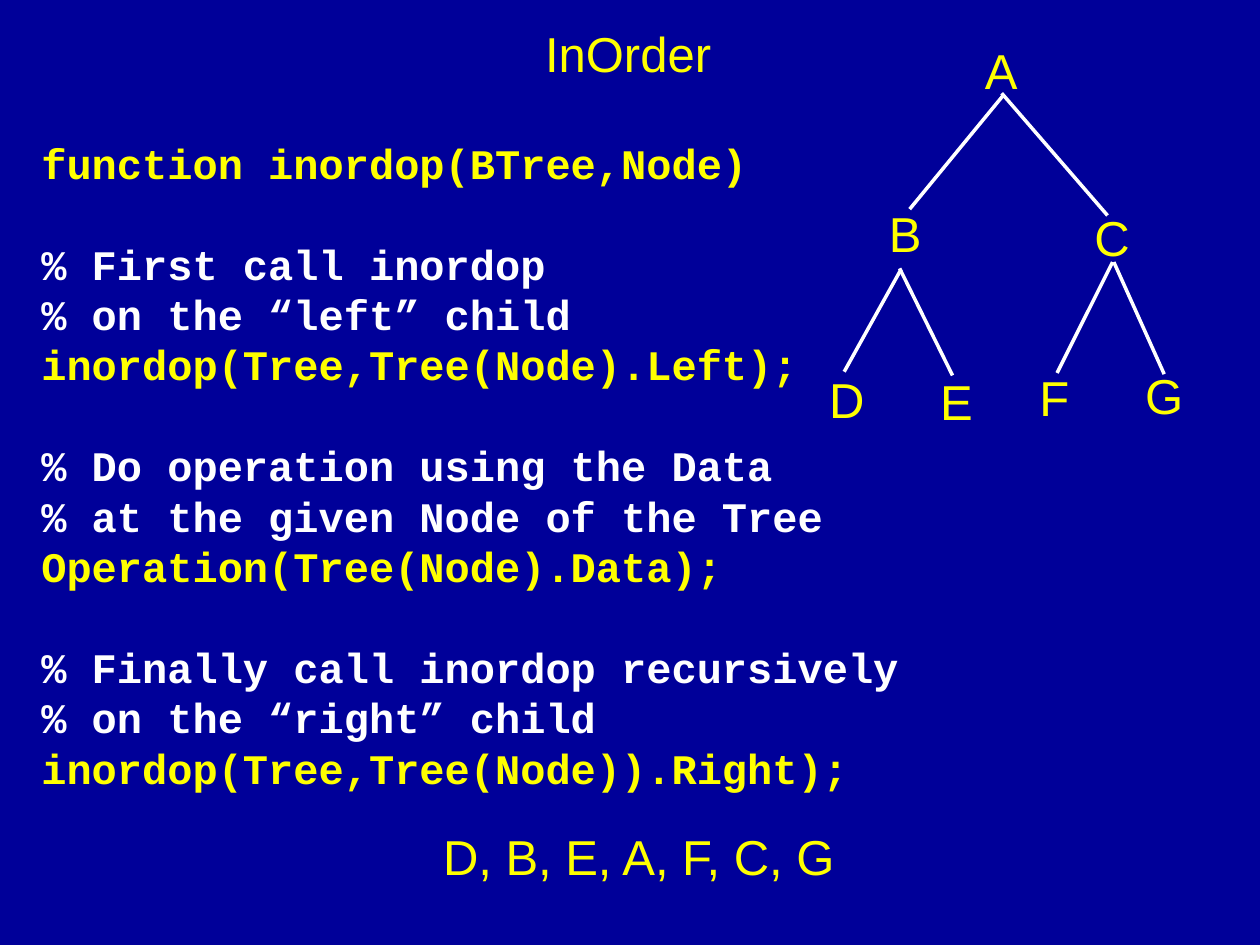
from lxml import etree
from pptx import Presentation
from pptx.dml.color import RGBColor
from pptx.enum.shapes import MSO_CONNECTOR
from pptx.enum.text import MSO_ANCHOR, PP_ALIGN
from pptx.oxml.ns import qn
from pptx.util import Inches, Pt

NAVY = RGBColor(0x00, 0x00, 0x99)
YELLOW = RGBColor(0xFF, 0xFF, 0x00)
WHITE = RGBColor(0xFF, 0xFF, 0xFF)
STRAIGHT = MSO_CONNECTOR.STRAIGHT
CENTER, LEFT = PP_ALIGN.CENTER, PP_ALIGN.LEFT
TOP, MIDDLE = MSO_ANCHOR.TOP, MSO_ANCHOR.MIDDLE

LABEL = {"name": "Arial", "size": Pt(28), "bold": False}
CODE = {"name": "Courier New", "size": Pt(24), "bold": True}
CODE_PITCH = Pt(28.8)

TITLE = ("InOrder", (1.38, 0.17, 7.21, 0.5))
RESULT = ("D, B, E, A, F, C, G", (3.11, 6.51, 3.92, 0.57))
CODE_BOX = (0.23, 1, 8.46, 5.3)

# Each block is set off from the one before it by one line
CODE_BLOCKS = [
    ["function inordop(BTree,Node)"],
    ["% First call inordop",
     "% on the “left” child",
     "inordop(Tree,Tree(Node).Left);"],
    ["% Do operation using the Data",
     "% at the given Node of the Tree",
     "Operation(Tree(Node).Data);"],
    ["% Finally call inordop recursively",
     "% on the “right” child",
     "inordop(Tree,Tree(Node)).Right);"],
]

# Node: left, top, width
NODE_HEIGHT = 0.57
NODES = {
    "A": (7.64, 0.27, 0.61),
    "B": (6.48, 1.57, 1.41),
    "C": (8.54, 1.6, 0.57),
    "D": (6.48, 2.88, 0.48),
    "E": (7.35, 2.9, 0.48),
    "F": (8.15, 2.87, 0.42),
    "G": (8.99, 2.85, 0.42),
}

# Branch: x and y at the parent, x and y at the child
BRANCHES = [
    (7.96, 0.76, 7.22, 1.66),  # A-B
    (7.95, 0.74, 8.79, 1.71),  # A-C
    (7.15, 2.14, 6.7, 2.95),   # B-D
    (7.14, 2.13, 7.56, 2.98),  # B-E
    (8.83, 2.08, 8.39, 2.96),  # C-F
    (8.84, 2.08, 9.24, 2.97),  # C-G
]


def add_text_frame(s, box, insets=(0.1, 0.05), anchor=TOP):
    tf = s.shapes.add_textbox(*map(Inches, box)).text_frame
    tf.word_wrap = True
    tf.vertical_anchor = anchor
    tf.margin_left = tf.margin_right = Inches(insets[0])
    tf.margin_top = tf.margin_bottom = Inches(insets[1])
    return tf


def write(p, text, style, color=YELLOW, align=CENTER):
    p.alignment = align
    r = p.add_run()
    r.text = text
    for key, value in style.items():
        setattr(r.font, key, value)
    r.font.color.rgb = color


def add_code(s):
    tf = add_text_frame(s, CODE_BOX)
    tf.margin_top = Inches(0.09)
    p = tf.paragraphs[0]
    for b, block in enumerate(CODE_BLOCKS):
        for i, line in enumerate(block):
            if b or i:
                p = tf.add_paragraph()
            if b and i == 0:
                p.space_before = CODE_PITCH
            p.line_spacing = CODE_PITCH
            color = WHITE if line.startswith("%") else YELLOW
            write(p, line, CODE, color, LEFT)


def add_branch(s, ends):
    line = s.shapes.add_connector(STRAIGHT, *map(Inches, ends))
    line.line.color.rgb = WHITE
    line.line.width = Pt(2)
    etree.SubElement(line._element.spPr, qn("a:effectLst"))


def main():
    prs = Presentation()
    prs.slide_width, prs.slide_height = Inches(10), Inches(7.5)
    s = prs.slides.add_slide(prs.slide_layouts[6])
    s.background.fill.solid()
    s.background.fill.fore_color.rgb = NAVY

    text, box = TITLE
    write(add_text_frame(s, box, (0, 0), MIDDLE).paragraphs[0], text, LABEL)
    for name, place in NODES.items():
        tf = add_text_frame(s, (*place, NODE_HEIGHT))
        write(tf.paragraphs[0], name, LABEL)
    for ends in BRANCHES:
        add_branch(s, ends)
    add_code(s)
    text, box = RESULT
    write(add_text_frame(s, box).paragraphs[0], text, LABEL)

    prs.save("out.pptx")


if __name__ == "__main__":
    main()
